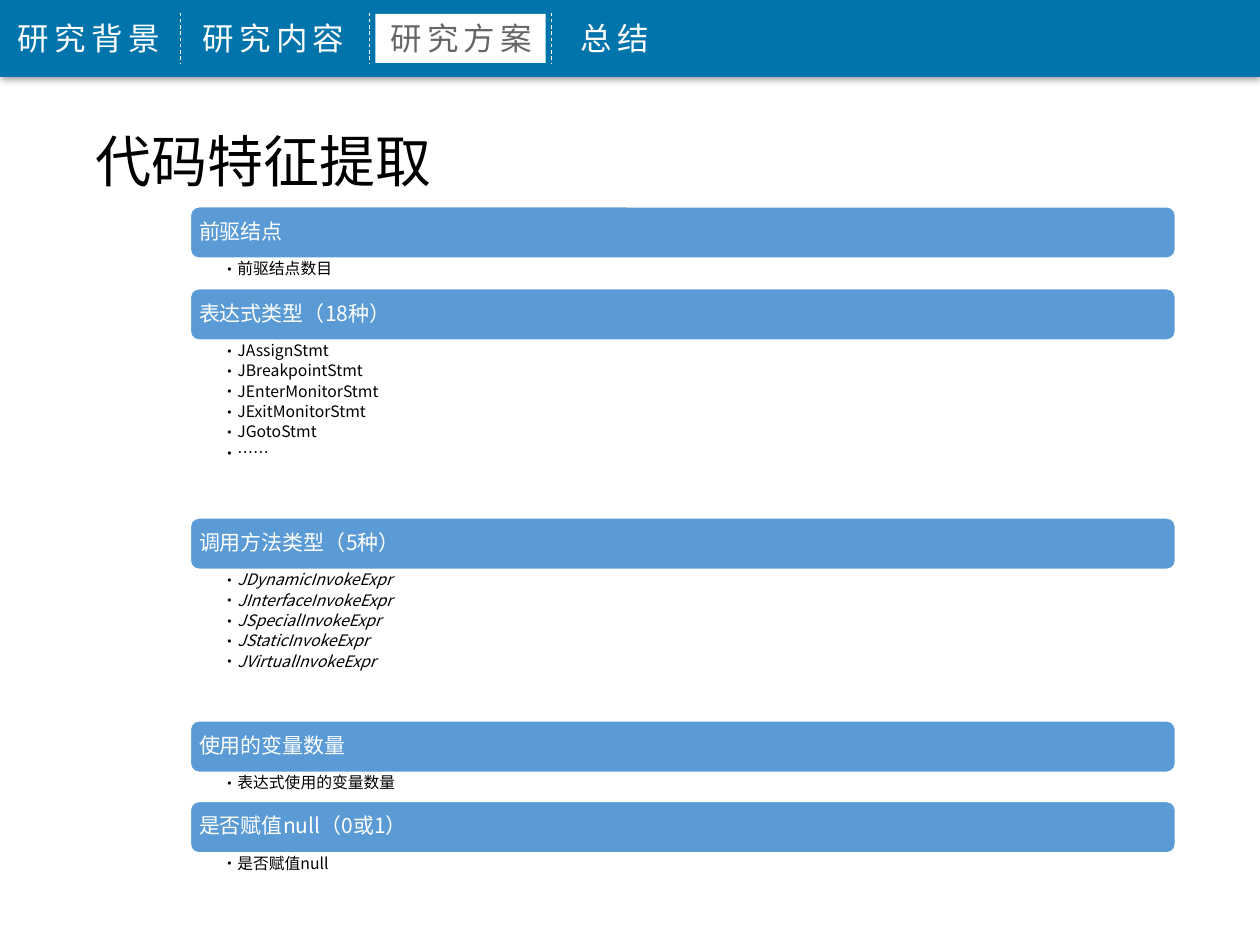
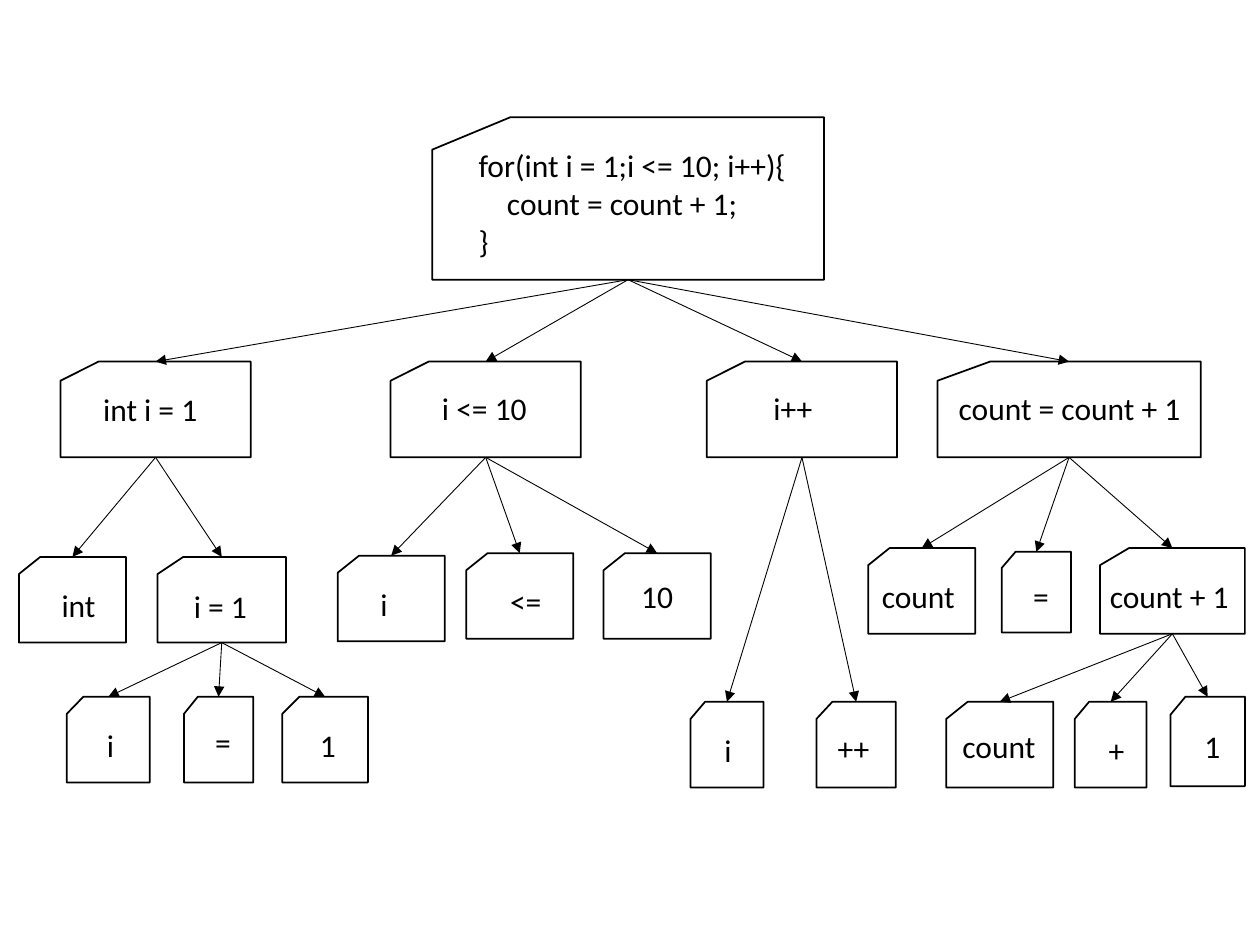
from pptx import Presentation
from pptx.dml.color import RGBColor
from pptx.enum.dml import MSO_LINE
from pptx.enum.shapes import MSO_CONNECTOR, MSO_SHAPE
from pptx.enum.text import MSO_ANCHOR as ANCHOR, PP_ALIGN as ALIGN
from pptx.oxml import parse_xml
from pptx.oxml.ns import nsdecls
from pptx.oxml.xmlchemy import OxmlElement
from pptx.util import Pt

PX = 9144  # 100 px to the inch
CJK, LATIN = "Noto Sans CJK SC", "Calibri"
BLUE, BAR_BLUE, WHITE, BLACK, GREY = "0174AB", "5B9BD5", "FFFFFF", "000000", "666666"
rgb = RGBColor.from_string


def add_run(p, text, size, color, font=CJK):
    r = p.add_run()
    r.text = text
    r.font.size = Pt(size)
    r.font.color.rgb = rgb(color)
    r.font.name = font
    ea = OxmlElement("a:ea")
    ea.set("typeface", font)
    r.font._element.append(ea)
    return r


def add_thin_line(s, x1, y1, x2, y2, color):
    """Add a half-point straight connector without a shadow; ends are in EMU."""
    line = s.shapes.add_connector(MSO_CONNECTOR.STRAIGHT, x1, y1, x2, y2)
    line.line.color.rgb = rgb(color)
    line.line.width = Pt(0.5)
    line._element.spPr.append(OxmlElement("a:effectLst"))
    return line


prs = Presentation()
prs.slide_width, prs.slide_height = 1000 * PX, 750 * PX

# Slide 1: code features
s = prs.slides.add_slide(prs.slide_layouts[5])
band = s.shapes.add_shape(MSO_SHAPE.RECTANGLE, 0, 0, 1000 * PX, 61 * PX)
active_tab = s.shapes.add_shape(MSO_SHAPE.RECTANGLE, 298 * PX, 11 * PX, 135 * PX, 39 * PX)
for sp, color in ((band, BLUE), (active_tab, WHITE)):
    sp.shadow.inherit = False
    sp.fill.solid()
    sp.fill.fore_color.rgb = rgb(color)
    sp.line.fill.background()
band._element.spPr.find("{*}effectLst").append(parse_xml(
    f'<a:outerShdw {nsdecls("a")} blurRad="50800" dist="12700" dir="5400000" algn="t" rotWithShape="0">'
    f'<a:srgbClr val="{BLACK}"><a:alpha val="40000"/></a:srgbClr></a:outerShdw>'))

title = s.shapes.title
title.left, title.top, title.width, title.height = 66 * PX, 95 * PX, 289 * PX, 64 * PX
tf = title.text_frame
tf.word_wrap = False
tf.vertical_anchor = ANCHOR.TOP
tf.paragraphs[0].alignment = ALIGN.LEFT
add_run(tf.paragraphs[0], "代码特征提取", 32, BLACK)

tabs = [
    (1, 139, "研究背景", WHITE, ALIGN.CENTER),
    (151, 142, "研究内容", WHITE, ALIGN.LEFT),
    (300, 142, "研究方案", GREY, ALIGN.LEFT),
    (451, 142, "总结", WHITE, ALIGN.LEFT),
]
for x, w, label, color, align in tabs:
    tf = s.shapes.add_textbox(x * PX, 10 * PX, w * PX, 40 * PX).text_frame
    tf.word_wrap = True
    p = tf.paragraphs[0]
    p.alignment = align
    r = add_run(p, label, 18, color)
    r.font._element.set("spc", "300")
for x in (143, 293, 438):
    divider = add_thin_line(s, x * PX, 10 * PX, x * PX, 50 * PX, WHITE)
    divider.line.dash_style = MSO_LINE.DASH

features = [  # heading, height of the list, italic, items
    ("前驱结点", 24, False, ["前驱结点数目"]),
    ("表达式类型（18种）", 141, False,
     ["JAssignStmt", "JBreakpointStmt", "JEnterMonitorStmt", "JExitMonitorStmt", "JGotoStmt", "……"]),
    ("调用方法类型（5种）", 120, True,
     ["JDynamicInvokeExpr", "JInterfaceInvokeExpr", "JSpecialInvokeExpr", "JStaticInvokeExpr",
      "JVirtualInvokeExpr"]),
    ("使用的变量数量", 23, False, ["表达式使用的变量数量"]),
    ("是否赋值null（0或1）", 23, False, ["是否赋值null"]),
]
LEFT, WIDTH, BAR_H = 151, 782, 41
y = 164
for heading, list_h, italic, items in features:
    bar = s.shapes.add_shape(MSO_SHAPE.ROUNDED_RECTANGLE, LEFT * PX, y * PX, WIDTH * PX, BAR_H * PX)
    bar.shadow.inherit = False
    bar.fill.solid()
    bar.fill.fore_color.rgb = rgb(BAR_BLUE)
    bar.line.color.rgb = rgb(WHITE)
    bar.line.width = Pt(1)
    tf = bar.text_frame
    tf.margin_left = tf.margin_right = tf.margin_top = tf.margin_bottom = 5 * PX
    tf.vertical_anchor = ANCHOR.MIDDLE
    p = tf.paragraphs[0]
    p.alignment = ALIGN.LEFT
    p.line_spacing = 0.9
    add_run(p, heading, 12, WHITE)

    tf = s.shapes.add_textbox(LEFT * PX, (y + BAR_H) * PX, WIDTH * PX, list_h * PX).text_frame
    tf.word_wrap = True
    tf.margin_left, tf.margin_right = 25 * PX, 9 * PX
    tf.margin_top = tf.margin_bottom = 2 * PX
    for i, item in enumerate(items):
        p = tf.add_paragraph() if i else tf.paragraphs[0]
        pPr = p._p.get_or_add_pPr()
        pPr.set("marL", str(6 * PX))
        pPr.set("indent", str(-6 * PX))
        bullet_font = OxmlElement("a:buFont")
        bullet_font.set("typeface", CJK)
        bullet = OxmlElement("a:buChar")
        bullet.set("char", "•")
        pPr.extend([bullet_font, bullet])
        p.level = 1
        p.line_spacing = 0.9
        p.space_after = Pt(1.9)
        r = add_run(p, item, 9, BLACK)
        if italic:
            r.font.italic = True
    y += BAR_H + list_h

# Slide 2: syntax tree of a loop
s = prs.slides.add_slide(prs.slide_layouts[6])
loop_code = ["for(int i = 1;i <= 10; i++){", "    count = count + 1;", "}"]
nodes = [  # name, parent, card box, code lines, left, top and width of the code
    ("loop", None, (343, 93, 311, 129), loop_code, (370, 111, 316)),
    ("init", "loop", (48, 287, 151, 76), ["int i = 1"], (72, 305, 127)),
    ("test", "loop", (310, 287, 151, 76), ["i <= 10"], (341, 304, 127)),
    ("step", "loop", (561, 287, 151, 76), ["i++"], (604, 304, 127)),
    ("body", "loop", (744, 287, 209, 76), ["count = count + 1"], (751, 304, 212)),
    ("init type", "init", (15, 442, 85, 68), ["int"], (39, 460, 53)),
    ("init assign", "init", (125, 442, 102, 68), ["i = 1"], (144, 461, 65)),
    ("init var", "init assign", (53, 553, 66, 68), ["i"], (75, 571, 41)),
    ("init equals", "init assign", (146, 553, 55, 68), ["="], (161, 569, 51)),
    ("init value", "init assign", (224, 553, 68, 68), ["1"], (244, 571, 42)),
    ("test var", "test", (268, 441, 85, 68), ["i"], (292, 459, 53)),
    ("test operator", "test", (370, 439, 85, 68), ["<="], (395, 457, 53)),
    ("test limit", "test", (479, 439, 85, 68), ["10"], (499, 453, 53)),
    ("step var", "step", (548, 557, 58, 68), ["i"], (565, 575, 36)),
    ("step operator", "step", (648, 557, 63, 68), ["++"], (655, 574, 51)),
    ("body var", "body", (689, 435, 85, 68), ["count"], (690, 453, 85)),
    ("body equals", "body", (795, 438, 55, 64), ["="], (810, 453, 51)),
    ("body sum", "body", (873, 435, 115, 68), ["count + 1"], (871, 453, 120)),
    ("sum var", "body sum", (751, 557, 85, 68), ["count"], (754, 572, 87)),
    ("sum operator", "body sum", (853, 557, 57, 68), ["+"], (870, 575, 35)),
    ("sum value", "body sum", (929, 553, 59, 71), ["1"], (946, 572, 37)),
]
cards = {}
for name, parent, box, lines, (x, y, w) in nodes:
    card = s.shapes.add_shape(MSO_SHAPE.FLOWCHART_CARD, *[v * PX for v in box])
    card.shadow.inherit = False
    card.fill.solid()
    card.fill.fore_color.rgb = rgb(WHITE)
    card.line.color.rgb = rgb(BLACK)
    card.line.width = Pt(1)
    cards[name] = card

    code_box = [x * PX, y * PX, w * PX, (10 + 30 * len(lines)) * PX]
    if name == "sum value":
        sp = s.shapes.add_shape(MSO_SHAPE.RECTANGLE, *code_box)
        sp.shadow.inherit = False
        sp.fill.solid()
        sp.fill.fore_color.rgb = rgb(WHITE)
        sp.line.fill.background()
    else:
        sp = s.shapes.add_textbox(*code_box)
    tf = sp.text_frame
    tf.word_wrap = True
    tf.vertical_anchor = ANCHOR.TOP
    for i, line in enumerate(lines):
        p = tf.add_paragraph() if i else tf.paragraphs[0]
        p.alignment = ALIGN.LEFT
        add_run(p, line, 18, BLACK, LATIN)

    if parent:
        top = cards[parent]
        arrow = add_thin_line(s, top.left + top.width // 2, top.top + top.height,
                              card.left + card.width // 2, card.top, BLACK)
        arrow.begin_connect(top, 2)
        arrow.end_connect(card, 0)
        head = OxmlElement("a:tailEnd")
        head.set("type", "triangle")
        arrow.line._get_or_add_ln().append(head)

prs.save("out.pptx")
